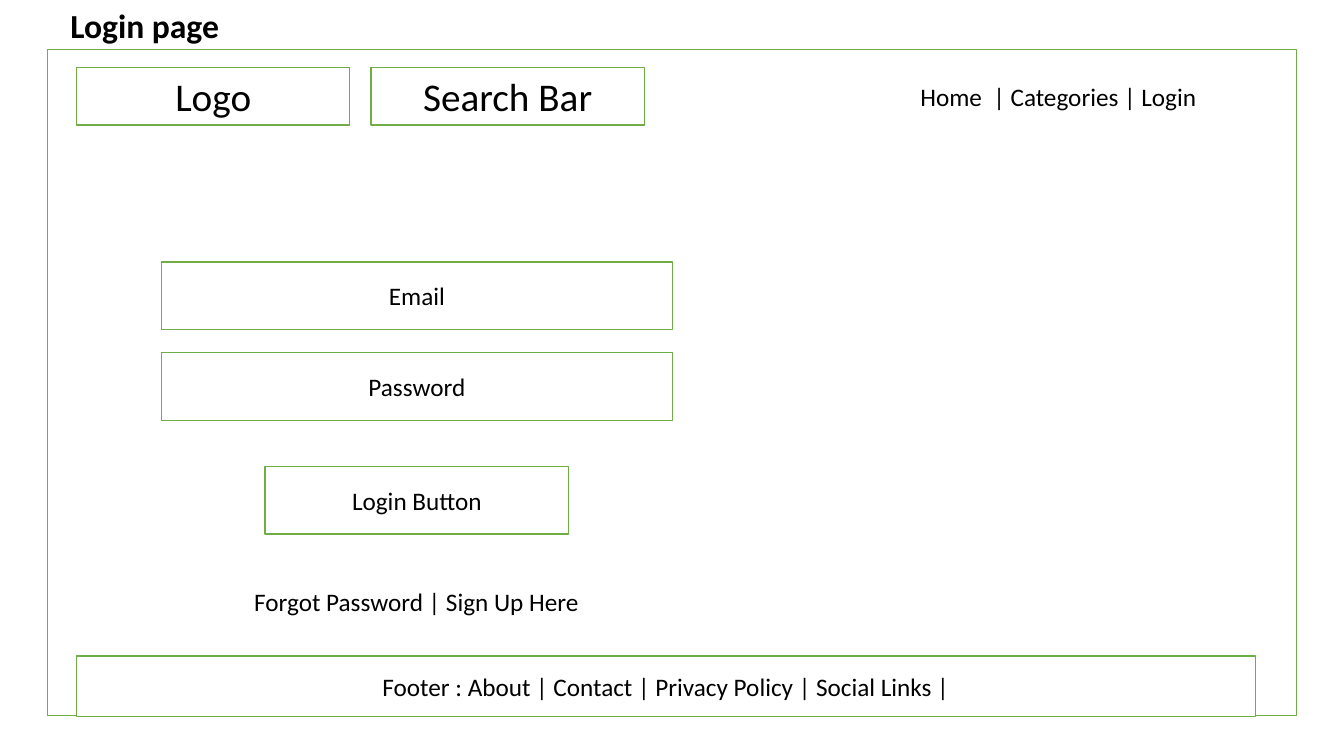
import pptx
import pptx.util
import pptx.dml.color
import pptx.enum.shapes
import pptx.enum.text

Inches = pptx.util.Inches
Align = pptx.enum.text.PP_ALIGN

COLORS = {"box": "FFFFFF", "outline": "70AD47", "text": "000000"}
FONT = "Calibri"

# Content: text, size in points
HEADER_BOXES = [("Logo", 28), ("Search Bar", 28)]
FORM_FIELDS = ["Email", "Password"]
FOOTER = "Footer : About | Contact | Privacy Policy | Social Links |"

# Text lines: text, (left, top, width, height), size, bold, alignment
TEXT_LINES = [
    ("Home  | Categories | Login", (9.03, 0.76, 4.53, 0.4), 18, False, Align.LEFT),
    ("Login page", (0.6, 0, 3.63, 0.5), 24, True, Align.LEFT),
    ("Forgot Password | Sign Up Here", (1.85, 5.77, 4.56, 0.4), 18, False, Align.CENTER),
]

# Layout in inches
PAGE_FRAME = (0.47, 0.49, 12.39, 6.61)
CONTENT_LEFT = 0.76
HEADER_TOP, HEADER_WIDTH, HEADER_HEIGHT, HEADER_STEP = 0.67, 2.71, 0.57, 2.92
FIELD_LEFT, FIELD_TOP, FIELD_WIDTH, FIELD_HEIGHT, FIELD_STEP = 1.6, 2.6, 5.07, 0.67, 0.9
BUTTON_TOP, BUTTON_WIDTH = 4.63, 3.01


def color(name):
    return pptx.dml.color.RGBColor.from_string(COLORS[name])


def write_text(shape, text, size, bold=False, alignment=Align.CENTER):
    shape.text_frame.word_wrap = True
    paragraph = shape.text_frame.paragraphs[0]
    paragraph.text = text
    paragraph.alignment = alignment
    font = paragraph.runs[0].font
    font.name = FONT
    font.size = pptx.util.Pt(size)
    font.bold = bold
    font.color.rgb = color("text")


def add_box(slide, bounds, text="", size=18):
    box = slide.shapes.add_shape(
        pptx.enum.shapes.MSO_SHAPE.RECTANGLE, *map(Inches, bounds))
    box.shadow.inherit = False
    box.fill.solid()
    box.fill.fore_color.rgb = color("box")
    box.line.color.rgb = color("outline")
    box.line.width = pptx.util.Pt(1)
    if text:
        box.text_frame.vertical_anchor = pptx.enum.text.MSO_ANCHOR.MIDDLE
        write_text(box, text, size)


def main():
    presentation = pptx.Presentation()
    presentation.slide_width = Inches(13.33)
    presentation.slide_height = Inches(7.5)
    slide = presentation.slides.add_slide(presentation.slide_layouts[6])

    # Page frame, header and footer
    add_box(slide, PAGE_FRAME)
    for index, (text, size) in enumerate(HEADER_BOXES):
        left = CONTENT_LEFT + index * HEADER_STEP
        add_box(slide, (left, HEADER_TOP, HEADER_WIDTH, HEADER_HEIGHT), text, size)
    add_box(slide, (CONTENT_LEFT, 6.51, 11.69, 0.6), FOOTER)

    # Login form, with the button centred under the fields
    for index, text in enumerate(FORM_FIELDS):
        top = FIELD_TOP + index * FIELD_STEP
        add_box(slide, (FIELD_LEFT, top, FIELD_WIDTH, FIELD_HEIGHT), text)
    button_left = FIELD_LEFT + (FIELD_WIDTH - BUTTON_WIDTH) / 2
    add_box(slide, (button_left, BUTTON_TOP, BUTTON_WIDTH, FIELD_HEIGHT), "Login Button")

    # Title, navigation and links
    for text, bounds, size, bold, alignment in TEXT_LINES:
        text_box = slide.shapes.add_textbox(*map(Inches, bounds))
        write_text(text_box, text, size, bold, alignment)

    presentation.save("out.pptx")


if __name__ == "__main__":
    main()
